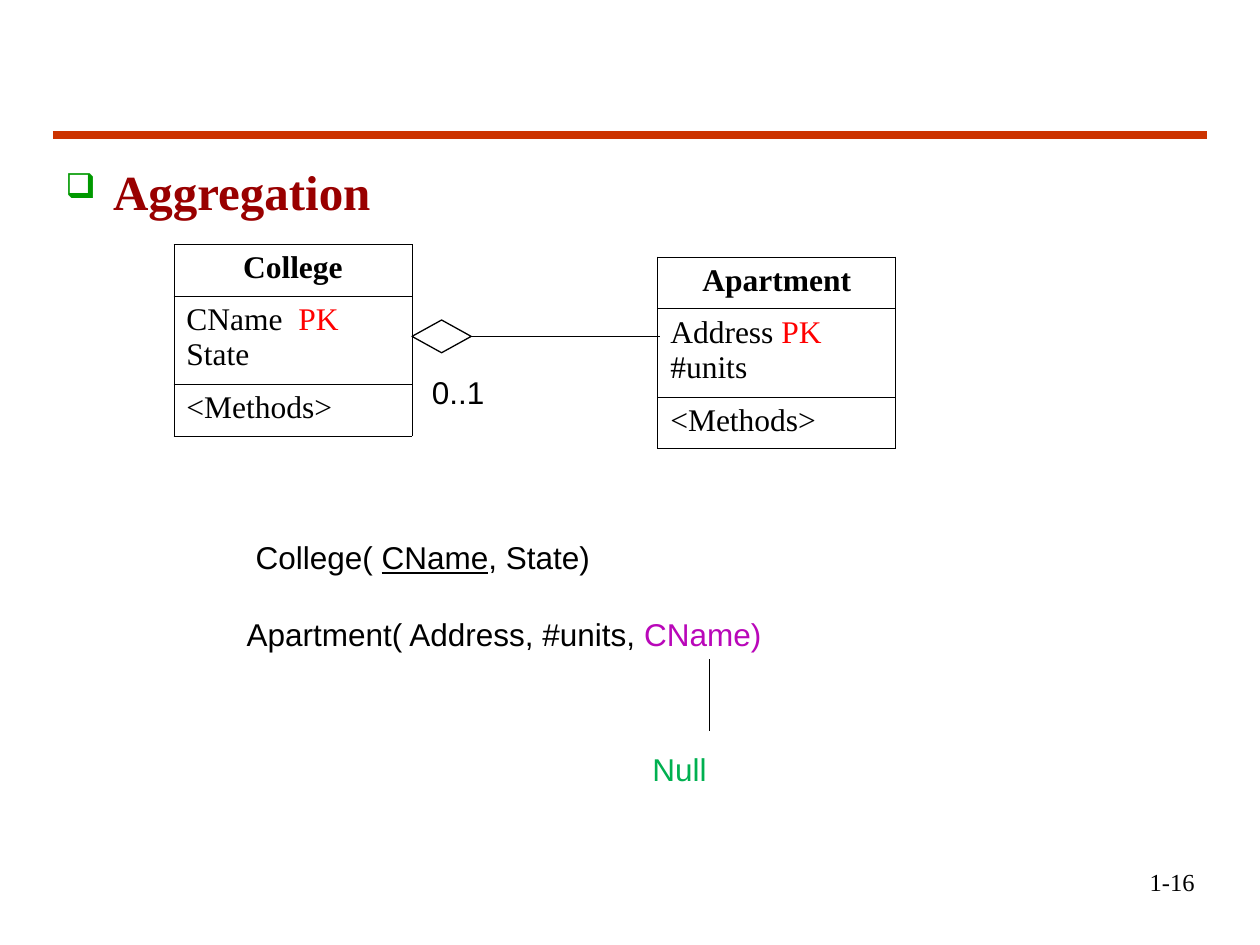
from lxml.etree import SubElement
from pptx import Presentation
from pptx.dml.color import RGBColor
from pptx.enum.shapes import MSO_CONNECTOR, MSO_SHAPE
from pptx.enum.text import PP_ALIGN
from pptx.oxml.ns import qn
from pptx.util import Inches, Pt

BLACK = "000000"
RED = "FF0000"
SERIF = "Times New Roman"
SANS = "Arial"


def color(value):
    return RGBColor.from_string(value)


def write(para, spans, font, size, bold=False, align=PP_ALIGN.LEFT):
    para.alignment = align
    para.font.name = font
    para.font.size = Pt(size)
    para.font.bold = bold
    for text, shade, underline in spans:
        span = para.add_run()
        span.text = text
        span.font.color.rgb = color(shade)
        if underline:
            span.font.underline = True


def add_text(page, left, top, width, height, spans, font=SANS, size=18, **style):
    box = page.shapes.add_textbox(Inches(left), Inches(top), Inches(width), Inches(height))
    box.text_frame.word_wrap = True
    write(box.text_frame.paragraphs[0], spans, font, size, **style)
    return box


def add_bullet(para, symbol, shade, percent, indent):
    properties = para._p.get_or_add_pPr()
    properties.set("marL", str(Inches(indent)))
    properties.set("indent", str(-Inches(indent)))
    bullet_color = SubElement(properties, qn("a:buClr"))
    SubElement(bullet_color, qn("a:srgbClr"), val=shade)
    SubElement(properties, qn("a:buSzPct"), val=str(percent * 1000))
    SubElement(properties, qn("a:buChar"), char=symbol)


def add_heading(page, text):
    box = page.shapes.add_textbox(Inches(0.42), Inches(1.23), Inches(9.17), Inches(2.52))
    box.text_frame.word_wrap = True
    para = box.text_frame.paragraphs[0]
    add_bullet(para, "❑", "009900", 70, 0.38)
    write(para, [(text, "990000", False)], SERIF, 28, bold=True, align=PP_ALIGN.JUSTIFY)


def add_line(page, start, end, shade=BLACK, width=0.75):
    line = page.shapes.add_connector(
        MSO_CONNECTOR.STRAIGHT, *(Inches(value) for value in start + end)
    )
    line.line.color.rgb = color(shade)
    line.line.width = Pt(width)
    SubElement(line._element.spPr, qn("a:effectLst"))


def add_diamond(page, left, top, width, height):
    diamond = page.shapes.add_shape(
        MSO_SHAPE.FLOWCHART_DECISION, Inches(left), Inches(top), Inches(width), Inches(height)
    )
    diamond.shadow.inherit = False
    diamond.fill.background()
    diamond.line.color.rgb = color(BLACK)
    diamond.line.width = Pt(0.75)


def outline_cell(cell):
    properties = cell._tc.get_or_add_tcPr()
    for side in ("lnL", "lnR", "lnT", "lnB"):
        border = SubElement(properties, qn(f"a:{side}"), w=str(Pt(0.45)))
        fill = SubElement(border, qn("a:solidFill"))
        SubElement(fill, qn("a:srgbClr"), val=BLACK)
    cell.fill.background()


def add_class_table(page, left, top, name, key, attribute):
    heights = [0.41, 0.7, 0.41]
    frame = page.shapes.add_table(
        3, 1, Inches(left), Inches(top), Inches(1.89), Inches(sum(heights))
    )
    table = frame.table
    table.first_row = False
    table.horz_banding = False
    for row, height in zip(table.rows, heights):
        row.height = Inches(height)
        outline_cell(row.cells[0])
    title, fields, methods = (table.cell(row, 0).text_frame for row in range(3))
    write(title.paragraphs[0], [(name, BLACK, False)], SERIF, 18,
          bold=True, align=PP_ALIGN.CENTER)
    write(fields.paragraphs[0], [(key, BLACK, False), ("PK", RED, False)], SERIF, 18)
    write(fields.add_paragraph(), [(attribute, BLACK, False)], SERIF, 18)
    write(methods.paragraphs[0], [("<Methods>", BLACK, False)], SERIF, 18)


def main():
    deck = Presentation()
    deck.slide_width = Inches(10)
    deck.slide_height = Inches(7.5)
    page = deck.slides.add_slide(deck.slide_layouts[6])

    add_line(page, (0.42, 1.07), (9.58, 1.07), "CC3300", 4.5)
    add_heading(page, "Aggregation")
    add_text(page, 7.5, 6.83, 2.08, 0.5, [("1-16", BLACK, False)],
             font=SERIF, size=14, align=PP_ALIGN.RIGHT)

    add_class_table(page, 1.38, 1.94, "College", "CName  ", "State")
    add_diamond(page, 3.27, 2.54, 0.47, 0.26)
    add_line(page, (3.74, 2.67), (5.24, 2.67))
    add_text(page, 3.33, 2.91, 0.63, 0.4, [("0..1", BLACK, False)])
    add_class_table(page, 5.22, 2.04, "Apartment", "Address ", "#units")

    add_text(page, 1.93, 4.22, 3.29, 0.4, [
        ("College( ", BLACK, False), ("CName", BLACK, True), (", State)", BLACK, False)])
    add_text(page, 1.86, 4.83, 4.72, 0.4, [
        ("Apartment( Address, #units, ", BLACK, False), ("CName)", "B907B9", False)])
    add_line(page, (5.63, 5.8), (5.63, 5.23))
    add_text(page, 5.08, 5.9, 1.1, 0.4, [("Null", "00B050", False)])

    deck.save("out.pptx")


if __name__ == "__main__":
    main()
